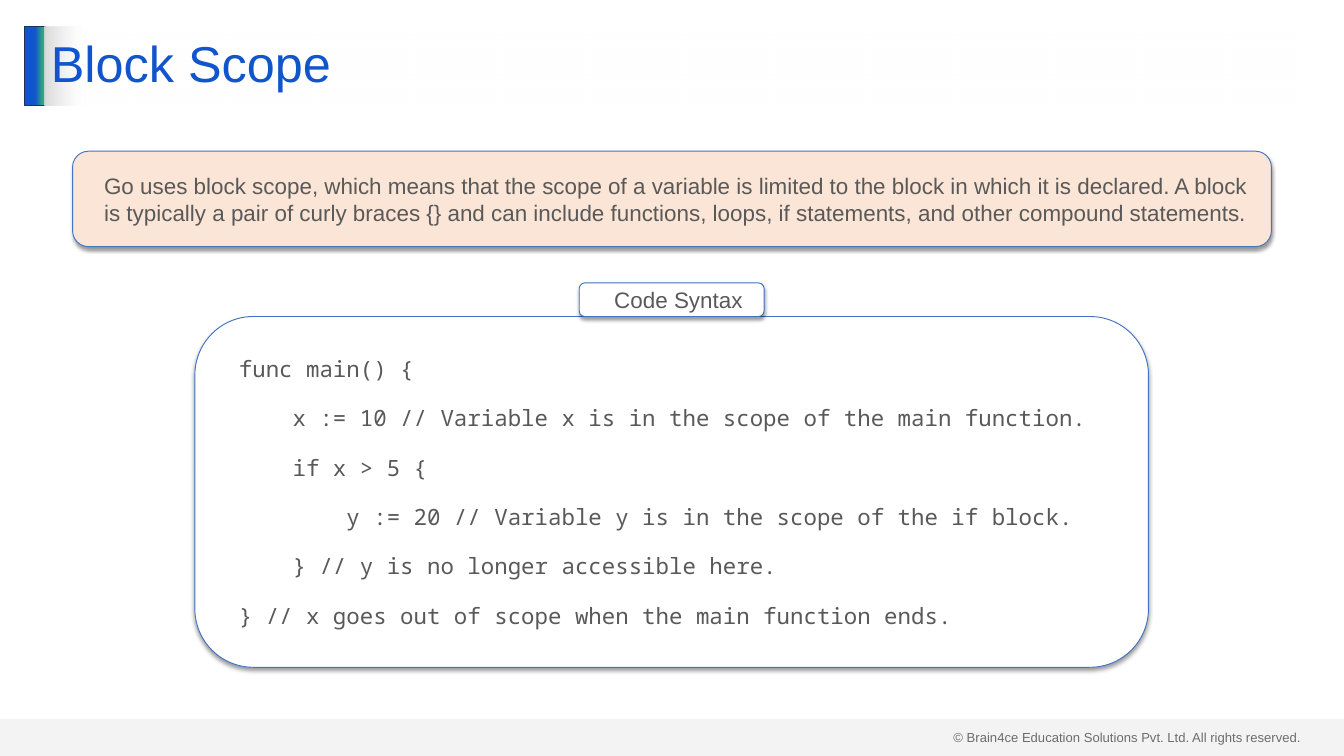
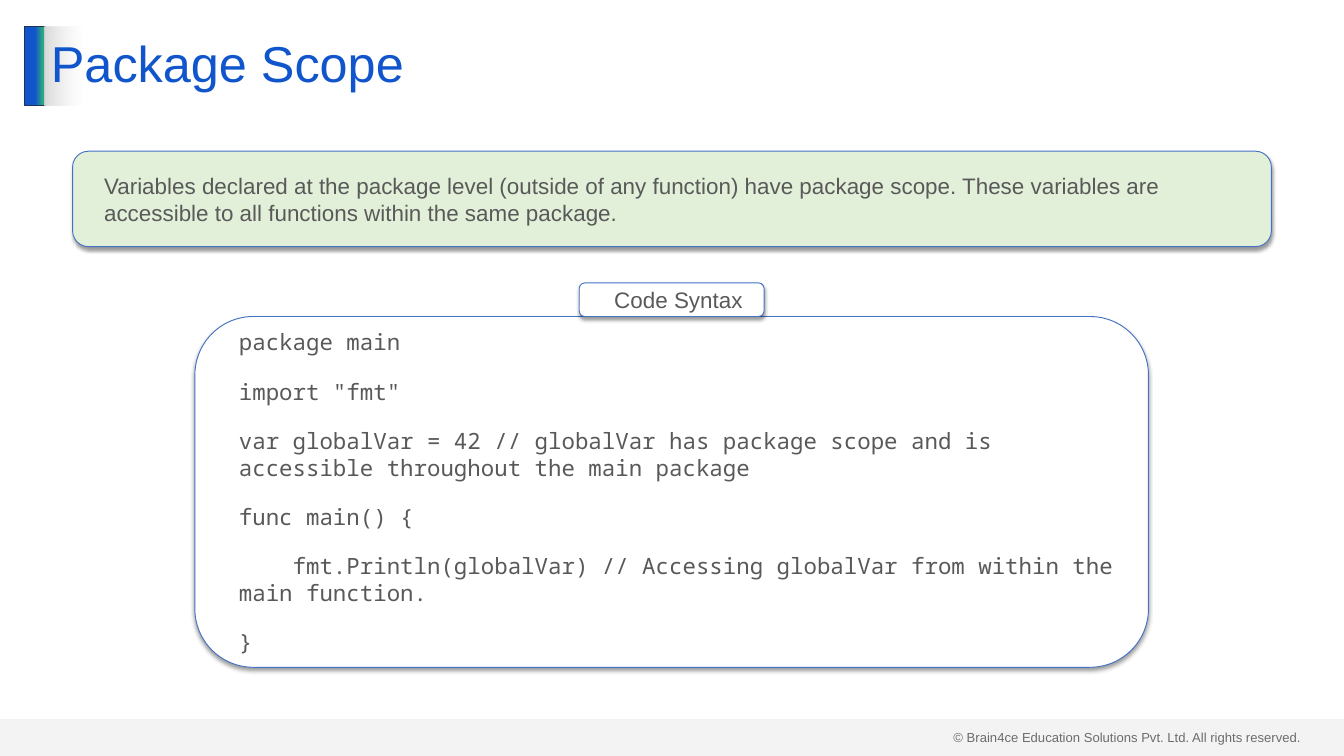
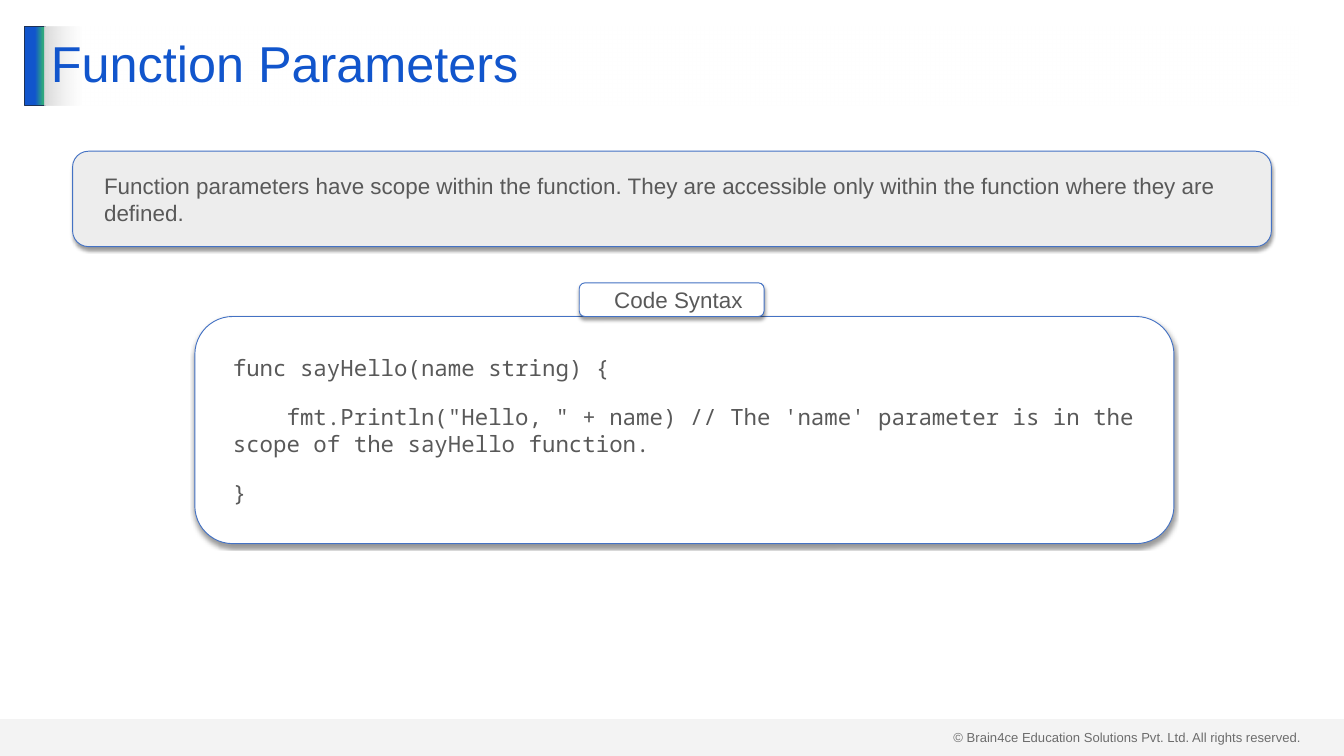
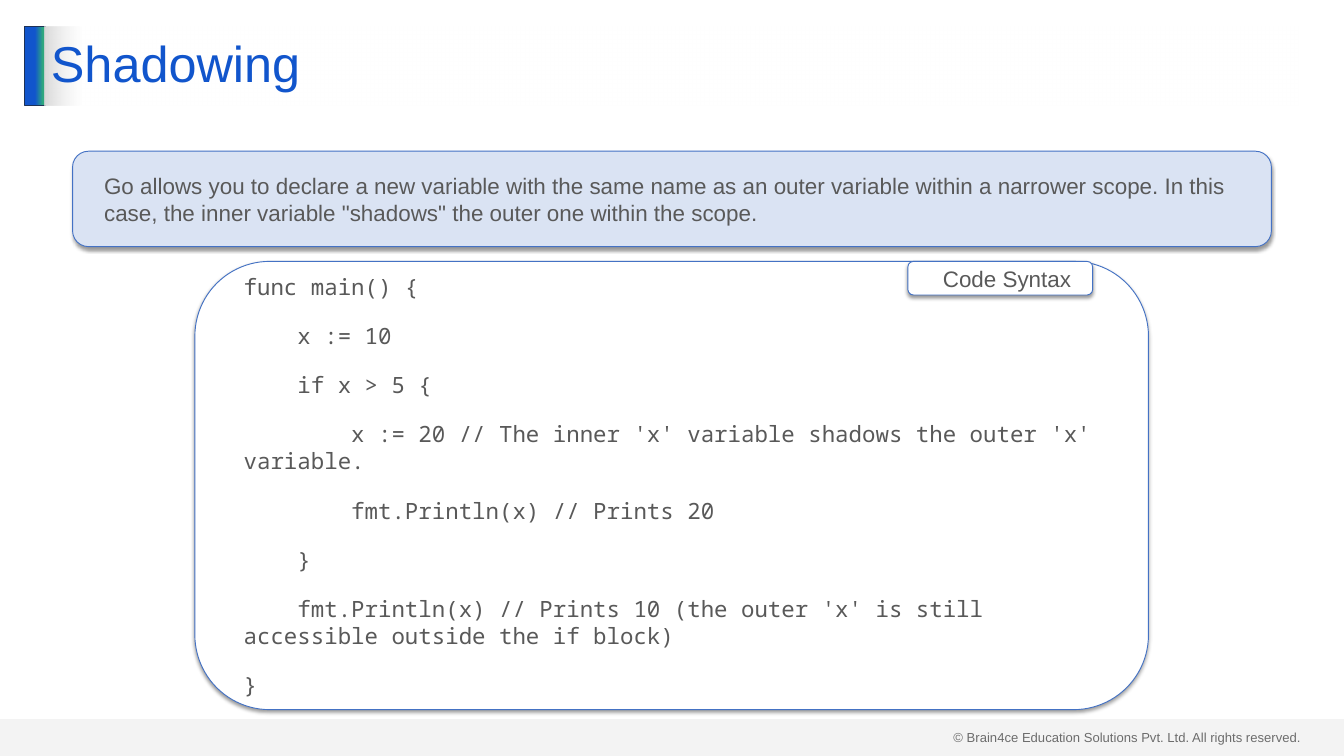
from lxml.etree import SubElement
from pptx import Presentation
from pptx.dml.color import RGBColor
from pptx.enum.shapes import MSO_SHAPE as Preset
from pptx.enum.text import MSO_ANCHOR as Anchor, MSO_AUTO_SIZE as AutoSize, PP_ALIGN as Align
from pptx.oxml.ns import qn
from pptx.util import Inches, Pt

WHITE = RGBColor(0xFF, 0xFF, 0xFF)
BLACK = RGBColor(0x00, 0x00, 0x00)
BLUE = RGBColor(0x11, 0x55, 0xCC)
GREEN = RGBColor(0x2E, 0xA8, 0x7D)
NAVY = RGBColor(0x1E, 0x32, 0x56)
OUTLINE = RGBColor(0x44, 0x72, 0xC4)
SILVER = RGBColor(0xD9, 0xD9, 0xD9)
BODY = RGBColor(0x59, 0x59, 0x59)
FOOTER = RGBColor(0x40, 0x40, 0x40)
PEACH = RGBColor(0xFB, 0xE5, 0xD6)
MINT = RGBColor(0xE2, 0xF0, 0xD9)
GRAY = RGBColor(0xED, 0xED, 0xED)
SKY = RGBColor(0xDA, 0xE3, 0xF3)

SANS = "Arial"
MONO = "Noto Sans Mono"
COPYRIGHT = "© Brain4ce Education Solutions Pvt. Ltd. All rights reserved."

BLOCK_CODE = """func main() {
    x := 10 // Variable x is in the scope of the main function.
    if x > 5 {
        y := 20 // Variable y is in the scope of the if block.
    } // y is no longer accessible here.
} // x goes out of scope when the main function ends."""

PACKAGE_CODE = """package main
import "fmt"
var globalVar = 42 // globalVar has package scope and is accessible throughout the main package
func main() {
    fmt.Println(globalVar) // Accessing globalVar from within the main function.
}"""

PARAMETER_CODE = """func sayHello(name string) {
    fmt.Println("Hello, " + name) // The 'name' parameter is in the scope of the sayHello function.
}"""

SHADOWING_CODE = """func main() {
    x := 10
    if x > 5 {
        x := 20 // The inner 'x' variable shadows the outer 'x' variable.
        fmt.Println(x) // Prints 20
    }
    fmt.Println(x) // Prints 10 (the outer 'x' is still accessible outside the if block)
}"""

TOPICS = [
    dict(
        title="Block Scope",
        summary="Go uses block scope, which means that the scope of a variable is limited to the "
        "block in which it is declared. A block is typically a pair of curly braces {} and can "
        "include functions, loops, if statements, and other compound statements.",
        color=PEACH,
        code=BLOCK_CODE,
    ),
    dict(
        title="Package Scope",
        summary="Variables declared at the package level (outside of any function) have package "
        "scope. These variables are accessible to all functions within the same package.",
        color=MINT,
        code=PACKAGE_CODE,
    ),
    dict(
        title="Function Parameters",
        summary="Function parameters have scope within the function. They are accessible only "
        "within the function where they are defined.",
        color=GRAY,
        code=PARAMETER_CODE,
        code_box=(2.9, 4.71, 14.57, 3.38),
    ),
    dict(
        title="Shadowing",
        summary="Go allows you to declare a new variable with the same name as an outer variable "
        "within a narrower scope. In this case, the inner variable \"shadows\" the outer one "
        "within the scope.",
        color=SKY,
        code=SHADOWING_CODE,
        code_box=(2.9, 3.89, 14.19, 6.67),
        label_at=(13.51, 3.89),
    ),
]


def write_text(shape, text, font=SANS, size=24, color=BODY, align=Align.LEFT,
               gap=0, indent=0, line_spacing=None):
    frame = shape.text_frame
    frame.word_wrap = True
    for number, line in enumerate(text.split("\n")):
        paragraph = frame.add_paragraph() if number else frame.paragraphs[0]
        paragraph.alignment = align
        paragraph.line_spacing = line_spacing
        if number:
            paragraph.space_before = Pt(gap)
        if indent:
            paragraph._p.get_or_add_pPr().set("marL", str(Inches(indent)))
        run = paragraph.add_run()
        run.text = line
        run.font.name = font
        run.font.size = Pt(size)
        run.font.color.rgb = color


def add_color(parent, color, opacity=100):
    element = SubElement(parent, qn("a:srgbClr"), val=str(color))
    if opacity < 100:
        SubElement(element, qn("a:alpha"), val=str(opacity * 1000))


class Deck:
    def __init__(self):
        self.presentation = Presentation()
        self.presentation.slide_width = Inches(20)
        self.presentation.slide_height = Inches(11.25)
        self.slide = None

    def add_slide(self, title):
        self.slide = self.presentation.slides.add_slide(self.presentation.slide_layouts[6])
        self.footer()
        accent = self.shape((0.37, 0.39, 0.3, 1.18), line=NAVY)
        self.gradient(accent, [(51, BLUE, 100), (90, GREEN, 100), (100, GREEN, 100)])
        band = self.shape((0, 10.7, 20, 0.55), fill=SILVER)
        band_color = band._element.spPr.find(qn("a:solidFill"))[0]
        SubElement(band_color, qn("a:alpha"), val="29000")
        self.title(title)

    def shape(self, box, preset=Preset.RECTANGLE, fill=WHITE, line=None):
        shape = self.slide.shapes.add_shape(preset, *map(Inches, box))
        shape.shadow.inherit = False
        shape.fill.solid()
        shape.fill.fore_color.rgb = fill
        if line is None:
            shape.line.fill.background()
        else:
            shape.line.color.rgb = line
            shape.line.width = Pt(1)
        return shape

    def gradient(self, shape, stops):
        shape.fill.gradient()
        shape.fill.gradient_angle = 0
        stop_list = shape._element.spPr.find(".//" + qn("a:gsLst"))
        stop_list.clear()
        for position, color, opacity in stops:
            stop = SubElement(stop_list, qn("a:gs"), pos=str(position * 1000))
            add_color(stop, color, opacity)

    def title(self, text):
        shape = self.shape((0.66, 0.39, 18.67, 1.18))
        self.gradient(shape, [(0, SILVER, 100), (3, WHITE, 50), (100, WHITE, 50)])
        shape.text_frame.vertical_anchor = Anchor.MIDDLE
        write_text(shape, text, size=54, color=BLUE, line_spacing=0.9)

    def footer(self):
        shape = self.slide.shapes.add_textbox(*map(Inches, (14.09, 10.8, 5.41, 0.34)))
        write_text(shape, COPYRIGHT, size=14, color=FOOTER)
        shape.text_frame.auto_size = AutoSize.SHAPE_TO_FIT_TEXT

    def card(self, box, text, fill=WHITE, **text_format):
        shape = self.shape(box, Preset.ROUNDED_RECTANGLE, fill, OUTLINE)
        effects = shape._element.spPr.find(qn("a:effectLst"))
        shadow = SubElement(effects, qn("a:outerShdw"), blurRad=str(Pt(4)), dist=str(Pt(3)),
                            dir="5400000", algn="t", rotWithShape="0")
        add_color(shadow, BLACK, 40)
        frame = shape.text_frame
        frame.margin_left = frame.margin_right = Inches(0.2)
        frame.margin_top = frame.margin_bottom = Inches(0.1)
        frame.vertical_anchor = Anchor.MIDDLE
        write_text(shape, text, indent=0.2, gap=24, **text_format)

    def topic(self, title, summary, color, code,
              code_box=(2.9, 4.71, 14.19, 5.22), label_at=(8.62, 4.21)):
        self.add_slide(title)
        self.card((1.08, 2.25, 17.84, 1.42), summary, color)
        self.card(code_box, code, font=MONO)
        self.card((*label_at, 2.75, 0.5), "Code Syntax", align=Align.CENTER)


def main():
    deck = Deck()
    for topic in TOPICS:
        deck.topic(**topic)
    deck.presentation.save("out.pptx")


if __name__ == "__main__":
    main()
